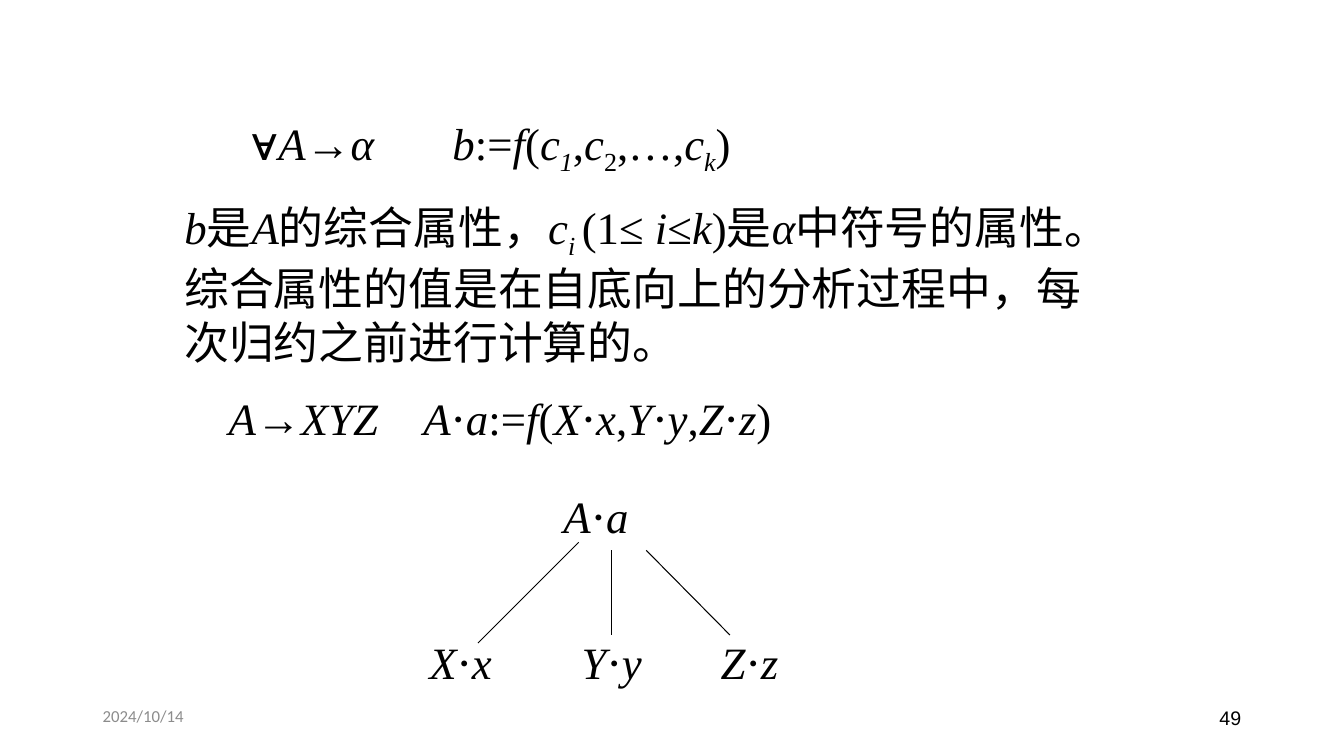
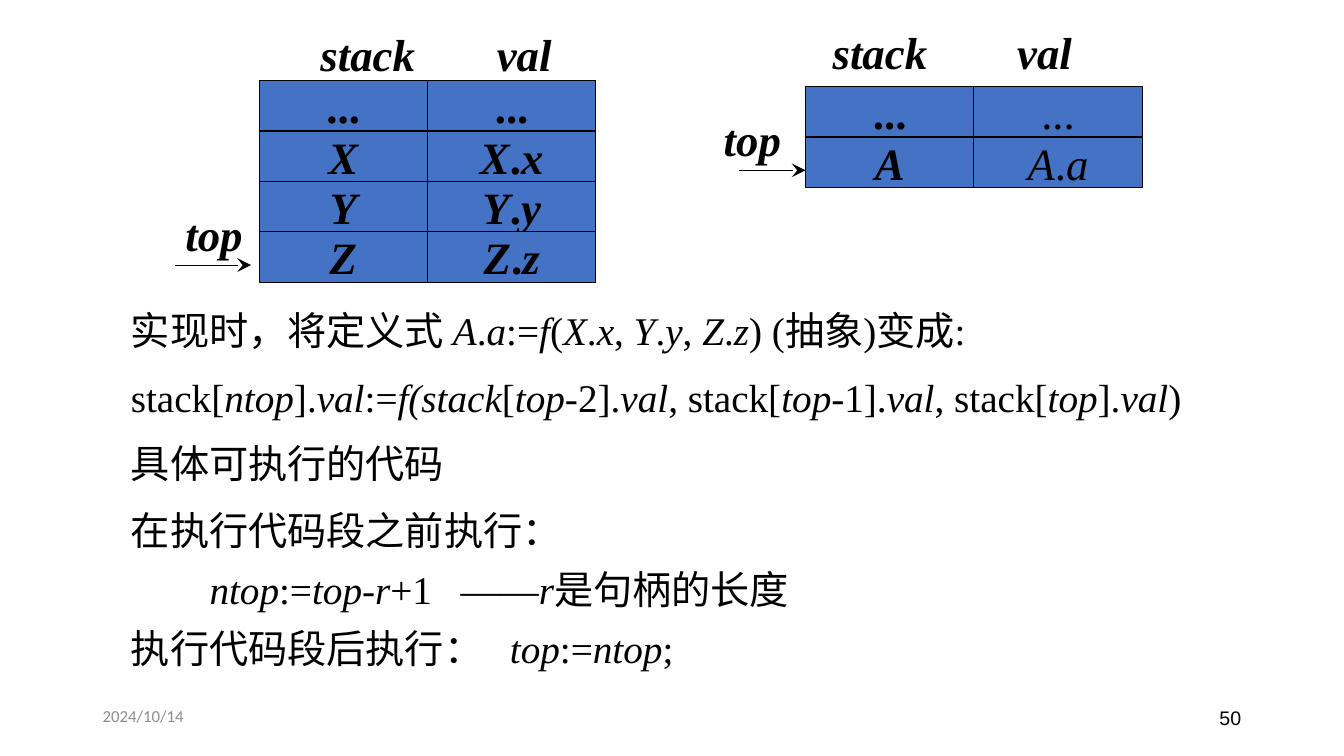
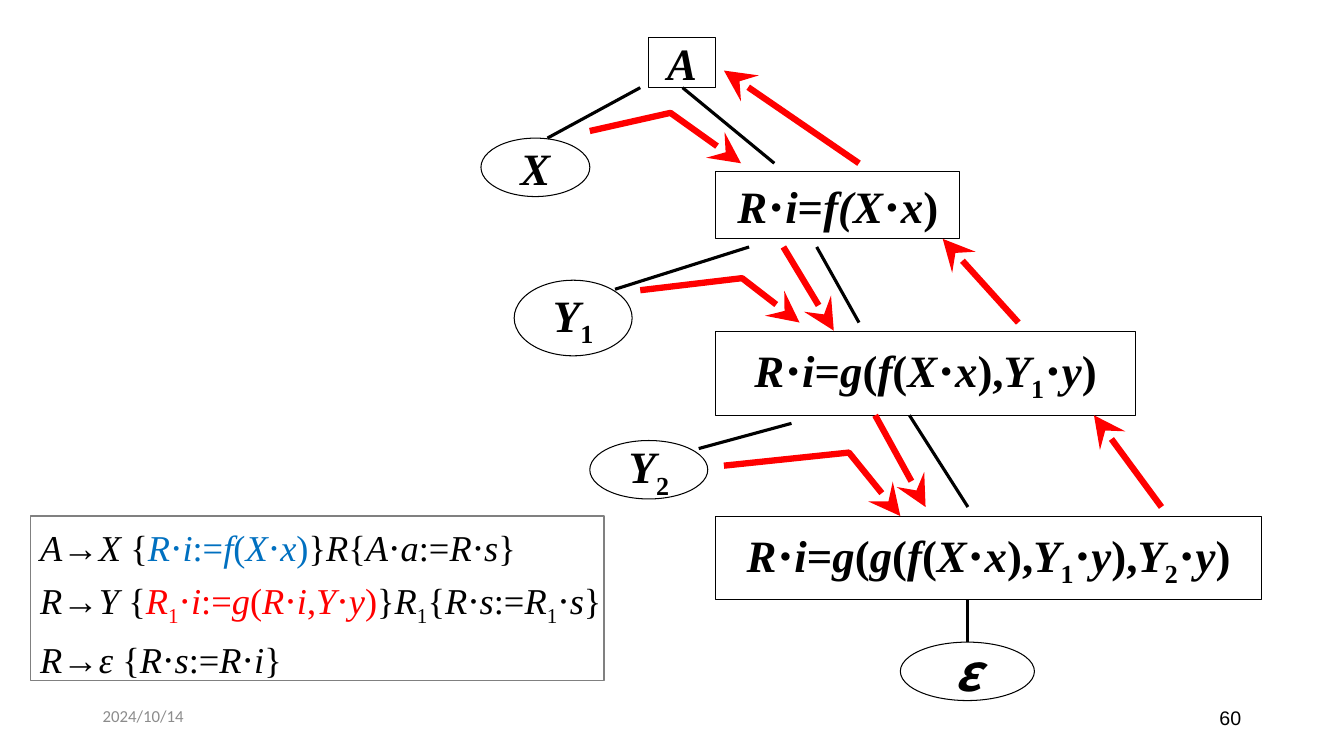
from dataclasses import dataclass

import lxml.etree
import pptx
import pptx.dml.color
import pptx.enum.shapes
import pptx.enum.text
import pptx.oxml.ns
import pptx.util

Inches = pptx.util.Inches
Pt = pptx.util.Pt
qn = pptx.oxml.ns.qn
Shape = pptx.enum.shapes.MSO_SHAPE
Align = pptx.enum.text.PP_ALIGN
Anchor = pptx.enum.text.MSO_ANCHOR


@dataclass(frozen=True)
class Theme:
    serif: str = "Times New Roman"
    han: str = "Noto Sans CJK SC"
    sans: str = "Arial"
    foot: str = "Calibri"
    ink: str = "000000"
    gray: str = "8C8C8C"
    frame: str = "808080"
    cell: str = "4472C4"
    red: str = "FF0000"
    blue: str = "0070C0"
    leaf: int = 36
    big: int = 32
    body: int = 28
    rule: int = 26
    num: int = 14
    date: int = 12
    thin: float = 0.75
    edge: float = 1
    thick: float = 2.25
    flow: float = 4.5


T = Theme()


@dataclass(frozen=True)
class Style:
    size: int = T.big
    font: str = T.serif
    color: str = T.ink
    bold: bool = False
    align: Align = Align.LEFT
    line: float = 1.0


@dataclass(frozen=True)
class Para:
    text: str
    gap: float = 0.0
    stops: tuple = ()
    accent: str = T.ink


PLAIN = Style()
BOLD = Style(bold=True)
NODE = Style(bold=True, align=Align.CENTER)
LIGHT = Style(align=Align.CENTER)
LEAF = Style(T.leaf, T.han, bold=True, align=Align.CENTER)


def rgb(color):
    return pptx.dml.color.RGBColor.from_string(color)


def add_run(para, text, style, color, italic, sub):
    run = para.add_run()
    run.text = text
    font = run.font
    font.size, font.name = Pt(style.size), style.font
    font.bold, font.italic = style.bold, italic
    font.color.rgb = rgb(color)
    props = run._r.get_or_add_rPr()
    lxml.etree.SubElement(props, qn("a:ea")).set("typeface", T.han)
    if sub:
        props.set("baseline", "-25000")


def add_marked(para, text, style, accent):
    """Turn marks into runs: * italic, ~ subscript, @ accent colour."""
    state = dict.fromkeys("*~@", False)
    part = ""
    for char in text + "*":
        if char not in state:
            part += char
            continue
        if part:
            color = accent if state["@"] else style.color
            add_run(para, part, style, color, state["*"], state["~"])
        part = ""
        state[char] = not state[char]


def write(frame, content, style):
    """Fill a text frame from one marked string or a list of Para."""
    paras = [Para(content)] if isinstance(content, str) else content
    for index, item in enumerate(paras):
        para = frame.add_paragraph() if index else frame.paragraphs[0]
        para.alignment = style.align
        para.line_spacing = style.line
        para.space_before = Pt(item.gap * style.size)
        if item.stops:
            tabs = lxml.etree.SubElement(para._p.get_or_add_pPr(), qn("a:tabLst"))
            for stop in item.stops:
                tab = lxml.etree.SubElement(tabs, qn("a:tab"))
                tab.set("pos", str(Inches(stop)))
                tab.set("algn", "l")
        add_marked(para, item.text, style, item.accent)


def text_box(slide, at, content, style=PLAIN, anchor=Anchor.TOP):
    frame = slide.shapes.add_textbox(*map(Inches, at)).text_frame
    frame.word_wrap = True
    frame.vertical_anchor = anchor
    write(frame, content, style)


def outline(shape, color, width):
    shape.line.color.rgb = rgb(color)
    shape.line.width = Pt(width)


def add_head(shape):
    line = shape._element.spPr.find(qn("a:ln"))
    head = lxml.etree.SubElement(line, qn("a:tailEnd"))
    for name, value in (("type", "stealth"), ("w", "lg"), ("len", "lg")):
        head.set(name, value)


def node(slide, kind, at, content, style=NODE, color=T.ink, width=T.thin,
         fill=None):
    shape = slide.shapes.add_shape(kind, *map(Inches, at))
    shape.shadow.inherit = False
    if fill:
        shape.fill.solid()
        shape.fill.fore_color.rgb = rgb(fill)
    else:
        shape.fill.background()
    outline(shape, color, width)
    frame = shape.text_frame
    frame.word_wrap = False
    frame.vertical_anchor = Anchor.MIDDLE
    write(frame, content, style)
    return frame


def link(slide, ends, color=T.ink, width=T.thin, head=False):
    line = slide.shapes.add_connector(
        pptx.enum.shapes.MSO_CONNECTOR.STRAIGHT, *map(Inches, ends))
    outline(line, color, width)
    if head:
        add_head(line)
    lxml.etree.SubElement(line._element.spPr, qn("a:effectLst"))


def bent_flow(slide, points):
    """Draw an open red path that ends in an arrowhead."""
    start, *rest = [(Inches(x), Inches(y)) for x, y in points]
    maker = slide.shapes.build_freeform(*start)
    maker.add_line_segments(rest, close=False)
    shape = maker.convert_to_shape()
    shape.shadow.inherit = False
    shape.fill.background()
    outline(shape, T.red, T.flow)
    add_head(shape)


def stack(slide, left, top, rows, val_style=NODE):
    """Draw the boxes of a stack, symbol on the left and value on the right."""
    wide, high = 1.67, 0.5
    for r, texts in enumerate(rows):
        for c, (text, style) in enumerate(zip(texts, (NODE, val_style))):
            at = (left + c * wide, top + r * high, wide, high)
            node(slide, Shape.RECTANGLE, at, text, style, fill=T.cell)


def new_slide(deck, number):
    slide = deck.slides.add_slide(deck.slide_layouts[6])
    text_box(slide, (0.92, 6.9, 3, 0.4), "2024/10/14",
             Style(T.date, T.foot, T.gray), Anchor.MIDDLE)
    text_box(slide, (9.41, 6.92, 3, 0.4), str(number),
             Style(T.num, T.sans, align=Align.RIGHT), Anchor.MIDDLE)
    return slide


def synth_slide(deck):
    slide = new_slide(deck, 49)
    text_box(slide, (1.73, 1.1, 9.53, 3.31), [
        Para("\t∀*A*→*α\tb*:=*f*(*c~1~*,*c*~2~,…,*c~k~*)", stops=(0.67, 2.66)),
        Para("*b*是*A*的综合属性，*c~i ~*(1≤ *i*≤*k*)是*α*中符号的属性。"
             "综合属性的值是在自底向上的分析过程中，每次归约之前进行计算的。", 0.5),
        Para("\t*A*→*XYZ\tA*⋅*a*:=*f*(*X*⋅*x*,*Y*⋅*y*,*Z*⋅*z*)", 0.5,
             (0.44, 2.37)),
    ])
    for left, top, text in (
        (5.49, 4.8, "*A*⋅*a*"),
        (4.16, 6.25, "*X*⋅*x*"),
        (5.67, 6.25, "*Y*⋅*y*"),
        (7.05, 6.25, "*Z*⋅*z*"),
    ):
        text_box(slide, (left, top, 1, 0.64), text)
    for ends in (
        (5.74, 5.38, 4.74, 6.38),
        (6.07, 5.46, 6.07, 6.3),
        (6.41, 5.46, 7.24, 6.3),
    ):
        link(slide, ends)


def stack_slide(deck):
    slide = new_slide(deck, 50)
    stack(slide, 2.57, 0.8, [
        ("...", "..."),
        ("*X*", "*X*.*x*"),
        ("*Y*", "*Y*.*y*"),
        ("*Z*", "*Z*.*z*"),
    ])
    stack(slide, 7.99, 0.86, [("...", "..."), ("*A*", "*A*.*a*")], LIGHT)
    for left, top, wide, text in (
        (3.08, 0.22, 1.3, "*stack*"),
        (4.83, 0.22, 0.83, "*val*"),
        (1.74, 2, 0.83, "*top*"),
        (8.16, 0.2, 1.42, "*stack*"),
        (9.99, 0.2, 0.83, "*val*"),
        (7.08, 1.06, 0.83, "*top*"),
    ):
        text_box(slide, (left, top, wide, 0.63), text, BOLD)
    link(slide, (1.74, 2.63, 2.49, 2.63), head=True)
    link(slide, (7.33, 1.69, 7.99, 1.69), head=True)
    text_box(slide, (1.2, 2.99, 11.94, 3.92), [
        Para("实现时，将定义式 *A*.*a*:=*f*(*X*.*x*, *Y*.*y*, *Z*.*z*) (抽象)变成:"),
        Para("stack[*ntop*].*val*:=*f(stack*[*top*-2].*val*, "
             "stack[*top*-1].*val*, stack[*top*].*val*)", 0.5),
        Para("具体可执行的代码", 0.5),
        Para("在执行代码段之前执行：", 0.5),
        Para("\t*ntop*:=*top*-*r*+1\t——*r*是句柄的长度", 0.3, (0.78, 3.27)),
        Para("执行代码段后执行：\t*top*:=*ntop*;", 0.3, (3.76,)),
    ], Style(T.body))


def tree_slide(deck):
    slide = new_slide(deck, 60)
    for at, text in (
        ((6.43, 0.37, 0.67, 0.5), "*A*"),
        ((7.1, 1.7, 2.42, 0.67), "*R*⋅*i*=*f(X*⋅*x*)"),
        ((7.1, 3.29, 4.16, 0.83), "*R*⋅*i*=*g*(*f*(*X*⋅*x*),*Y*~1~⋅*y*)"),
        ((7.1, 5.12, 5.41, 0.83),
         "*R*⋅*i*=*g*(*g*(*f*(*X*⋅*x*),*Y*~1~⋅*y*),*Y*~2~⋅*y*)"),
    ):
        node(slide, Shape.RECTANGLE, at, text)
    for at, text, style in (
        ((8.93, 6.37, 1.33, 0.58), "*ε*", LEAF),
        ((5.85, 4.37, 1.17, 0.58), "*Y*~2~", NODE),
        ((5.1, 2.78, 1.17, 0.75), "*Y*~1~", NODE),
        ((4.77, 1.37, 1.08, 0.58), "*X*", NODE),
    ):
        node(slide, Shape.OVAL, at, text, style)
    for ends in (
        (9.6, 5.95, 9.6, 6.37),
        (9.02, 4.12, 9.6, 5.03),
        (8.1, 2.45, 8.52, 3.2),
        (6.77, 0.87, 7.68, 1.62),
        (6.35, 0.87, 5.43, 1.37),
        (7.43, 2.45, 6.1, 2.87),
        (7.85, 4.2, 6.93, 4.45),
    ):
        link(slide, ends, width=T.thick)
    for points in (
        ((5.85, 1.3), (6.65, 1.12), (7.35, 1.62)),
        ((6.35, 2.88), (7.36, 2.76), (7.93, 3.2)),
        ((7.18, 4.62), (8.42, 4.49), (8.93, 5.12)),
    ):
        bent_flow(slide, points)
    for ends in (
        (7.77, 2.45, 8.27, 3.28),
        (8.68, 4.12, 9.18, 5.03),
        (11.52, 5.03, 10.85, 4.12),
        (10.1, 3.2, 9.35, 2.37),
        (8.52, 1.62, 7.18, 0.7),
    ):
        link(slide, ends, T.red, T.flow, head=True)
    frame = node(slide, Shape.RECTANGLE, (0.3, 5.12, 5.69, 1.63), [
        Para("*A*→*X *{@*R*⋅*i*:=*f*(*X*⋅*x*)@}*R*{*A*⋅*a*:=*R*⋅*s*}",
             accent=T.blue),
        Para("*R*→*Y *{@*R*~1~⋅*i*:=*g*(*R*⋅*i*,*Y*⋅*y*)@}"
             "*R*~1~{*R*⋅*s*:=*R*~1~⋅*s*}", accent=T.red),
        Para("*R*→*ε *{*R*⋅*s*:=*R*⋅*i*}"),
    ], Style(T.rule, line=1.2), T.frame, T.edge)
    frame.word_wrap = True
    frame.vertical_anchor = Anchor.TOP
    frame.margin_top = frame.margin_right = 0


def main():
    deck = pptx.Presentation()
    deck.slide_width, deck.slide_height = Inches(13.33), Inches(7.5)
    synth_slide(deck)
    stack_slide(deck)
    tree_slide(deck)
    deck.save("out.pptx")


if __name__ == "__main__":
    main()
